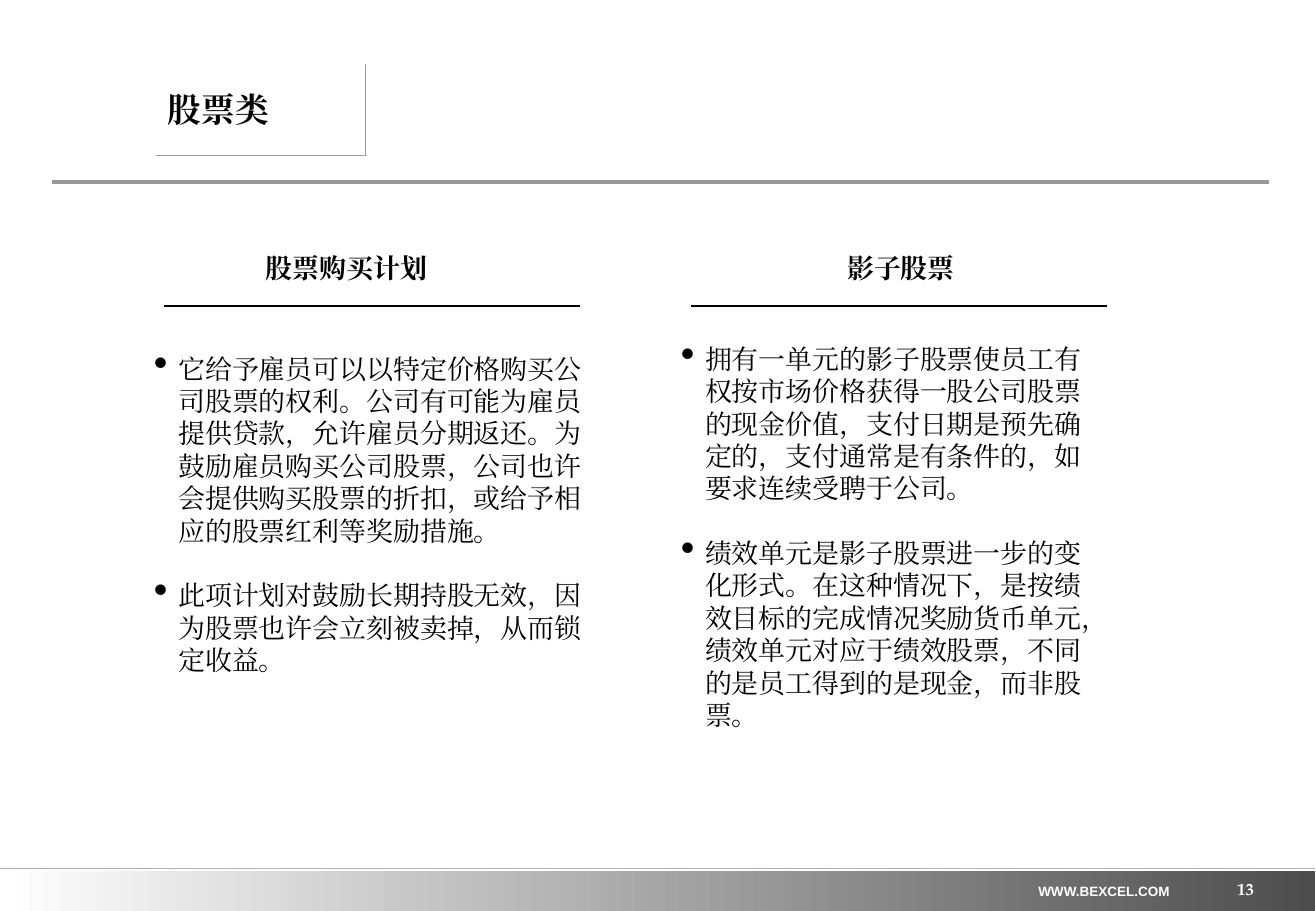
from dataclasses import dataclass

import pptx
import pptx.dml.color
import pptx.enum.shapes
import pptx.enum.text
import pptx.oxml
import pptx.oxml.ns
import pptx.util
from lxml import etree

EMU_PER_PX = 9144  # 100 px to the inch
SLIDE_WIDTH, SLIDE_HEIGHT = 1084, 750
BAND_WIDTH = 1083
SERIF, SANS = "TeX Gyre Pagella", "Arial"
BLACK, WHITE, GREY = "000000", "FFFFFF", "999999"
ALIGN = pptx.enum.text.PP_ALIGN
ANCHOR = pptx.enum.text.MSO_ANCHOR
qn = pptx.oxml.ns.qn


@dataclass(frozen=True)
class Box:
    left: int
    top: int
    width: int
    height: int

    def emu(self) -> list[int]:
        return [px(value) for value in (self.left, self.top, self.width, self.height)]


@dataclass(frozen=True)
class Column:
    heading: str
    heading_box: Box
    rule_left: int
    body_box: Box
    points: tuple[str, ...]


@dataclass(frozen=True)
class Rule:
    left: int
    right: int
    y: int
    color: str
    weight: float


COLUMNS = (
    Column(
        "股票购买计划", Box(209, 202, 188, 42), 135, Box(117, 285, 379, 308),
        (
            "它给予雇员可以以特定价格购买公司股票的权利。公司有可能为雇员提供贷款，允许雇员分期返还。"
            "为鼓励雇员购买公司股票，公司也许会提供购买股票的折扣，或给予相应的股票红利等奖励措施。",
            "此项计划对鼓励长期持股无效，因为股票也许会立刻被卖掉，从而锁定收益。",
        ),
    ),
    Column(
        "影子股票", Box(688, 202, 125, 42), 569, Box(551, 277, 370, 350),
        (
            "拥有一单元的影子股票使员工有权按市场价格获得一股公司股票的现金价值，支付日期是预先确定的，"
            "支付通常是有条件的，如要求连续受聘于公司。",
            "绩效单元是影子股票进一步的变化形式。在这种情况下，是按绩效目标的完成情况奖励货币单元，"
            "绩效单元对应于绩效股票，不同的是员工得到的是现金，而非股票。",
        ),
    ),
)
RULES = (
    Rule(43, 1045, 150, GREY, 2.5),
    Rule(0, BAND_WIDTH, 715, "B2B2B2", 1),
    *(Rule(column.rule_left, column.rule_left + 343, 252, BLACK, 0.75) for column in COLUMNS),
)


def px(value: int) -> int:
    return pptx.util.Emu(value * EMU_PER_PX)


def rgb(color: str) -> pptx.dml.color.RGBColor:
    return pptx.dml.color.RGBColor.from_string(color)


def add_bullet(paragraph) -> None:
    properties = paragraph._p.get_or_add_pPr()
    properties.set("marL", str(px(20)))
    properties.set("indent", str(-px(20)))
    bullet_color = etree.SubElement(properties, qn("a:buClr"))
    etree.SubElement(bullet_color, qn("a:srgbClr"), val=BLACK)
    etree.SubElement(properties, qn("a:buSzPct"), val="150000")
    etree.SubElement(properties, qn("a:buChar"), char="•")


def write_text(shape, *texts: str, size: float = 16, font: str = SERIF, color: str = BLACK,
               bold: bool = False, align=ALIGN.LEFT, anchor=ANCHOR.TOP, wrap: bool = True,
               bullets: bool = False, gap: float = 0, inset: tuple[int, int] = (10, 5)) -> None:
    frame = shape.text_frame
    frame.auto_size = pptx.enum.text.MSO_AUTO_SIZE.NONE
    frame.word_wrap = wrap
    frame.vertical_anchor = anchor
    frame.margin_left = frame.margin_right = px(inset[0])
    frame.margin_top = frame.margin_bottom = px(inset[1])
    for index, text in enumerate(texts):
        paragraph = frame.add_paragraph() if index else frame.paragraphs[0]
        if bullets:
            add_bullet(paragraph)
        paragraph.alignment = align
        paragraph.space_before = pptx.util.Pt(gap if index else 0)
        run = paragraph.add_run()
        run.text = text
        run.font.size = pptx.util.Pt(size)
        run.font.bold = bold
        run.font.name = font
        run.font.color.rgb = rgb(color)
        etree.SubElement(run._r.get_or_add_rPr(), qn("a:ea"), typeface=font)


def add_text(slide, box: Box, *texts: str, **text_format) -> None:
    write_text(slide.shapes.add_textbox(*box.emu()), *texts, **text_format)


def add_rule(slide, rule: Rule) -> None:
    connector = slide.shapes.add_connector(
        pptx.enum.shapes.MSO_CONNECTOR.STRAIGHT,
        px(rule.left), px(rule.y), px(rule.right), px(rule.y))
    connector.line.color.rgb = rgb(rule.color)
    connector.line.width = pptx.util.Pt(rule.weight)
    etree.SubElement(connector._element.spPr, qn("a:effectLst"))


def add_footer_band(slide) -> None:
    band = slide.shapes.add_shape(
        pptx.enum.shapes.MSO_SHAPE.RECTANGLE, *Box(0, 717, BAND_WIDTH, 33).emu())
    band.shadow.inherit = False
    band.line.fill.background()
    band.fill.gradient()
    band.fill.gradient_angle = 0
    for stop, color in zip(band.fill.gradient_stops, (WHITE, "4D4D4D")):
        stop.color.rgb = rgb(color)


def format_title(title) -> None:
    title.left, title.top, title.width, title.height = Box(128, 52, 172, 75).emu()
    title.fill.solid()
    title.fill.fore_color.rgb = rgb(WHITE)
    title.line.color.rgb = rgb(WHITE)
    title.line.width = pptx.util.Pt(0.75)
    effects = etree.SubElement(title._element.spPr, qn("a:effectLst"))
    shadow = etree.SubElement(
        effects, qn("a:outerShdw"), dist=str(pptx.util.Pt(1.4)), dir="2700000",
        algn="ctr", rotWithShape="0")
    etree.SubElement(shadow, qn("a:srgbClr"), val=GREY)
    write_text(title, "股票类", size=20, bold=True, anchor=ANCHOR.MIDDLE)


def main() -> None:
    presentation = pptx.Presentation()
    presentation.slide_width, presentation.slide_height = px(SLIDE_WIDTH), px(SLIDE_HEIGHT)
    slide = presentation.slides.add_slide(presentation.slide_layouts.get_by_name("Title Only"))

    # Title, footer band and rules
    format_title(slide.shapes.title)
    add_footer_band(slide)
    for rule in RULES:
        add_rule(slide, rule)

    # Two columns of headed points
    for column in COLUMNS:
        add_text(slide, column.heading_box, column.heading, bold=True, align=ALIGN.JUSTIFY)
        add_text(slide, column.body_box, *column.points, bullets=True, gap=19.2)

    # Footer text
    add_text(slide, Box(845, 722, 129, 24), "WWW.BEXCEL.COM", size=8, font=SANS,
             color=WHITE, bold=True, align=ALIGN.CENTER, wrap=False)
    add_text(slide, Box(807, 707, 226, 33), "13", size=10, color=WHITE, bold=True,
             align=ALIGN.RIGHT, anchor=ANCHOR.BOTTOM, inset=(0, 0))

    presentation.save("out.pptx")


if __name__ == "__main__":
    main()
